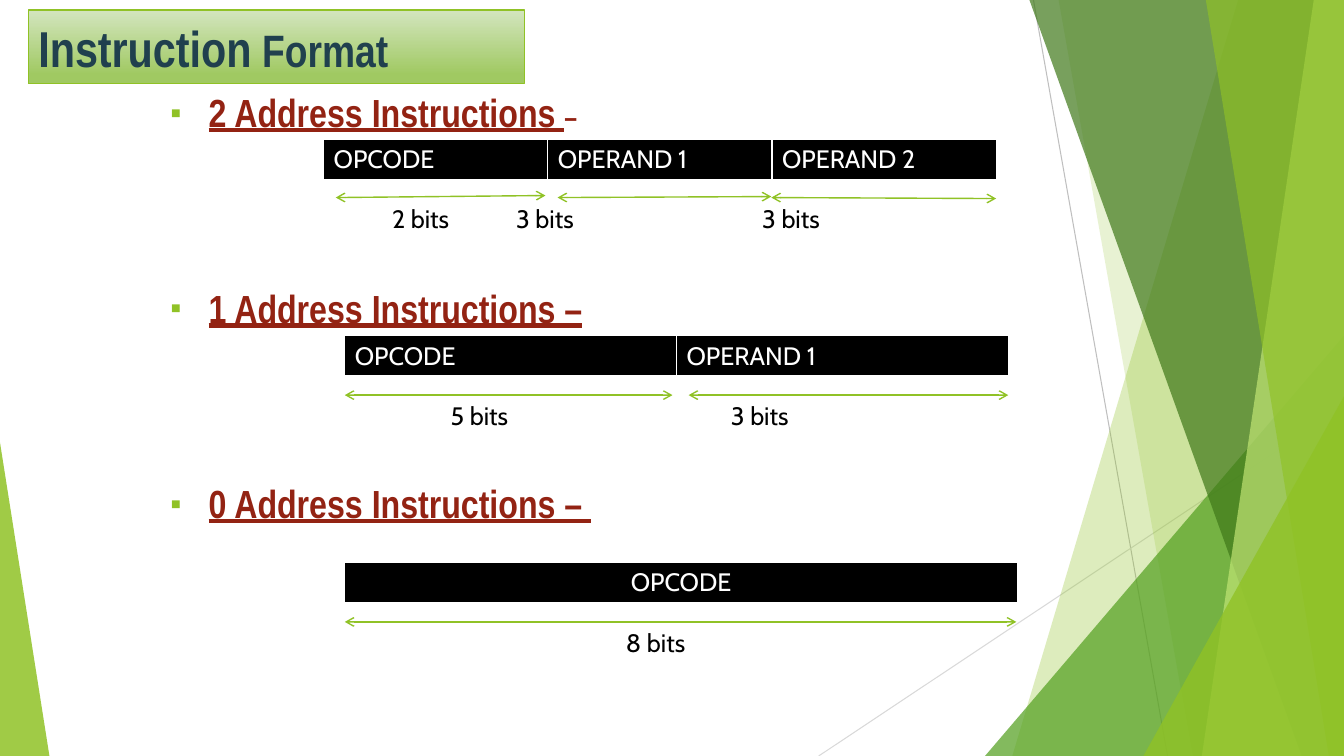
from lxml import etree
from pptx import Presentation
from pptx.dml.color import RGBColor
from pptx.enum.shapes import MSO_CONNECTOR, MSO_SHAPE
from pptx.enum.text import MSO_ANCHOR, MSO_AUTO_SIZE, PP_ALIGN
from pptx.oxml.ns import qn
from pptx.util import Inches, Pt

STRAIGHT = MSO_CONNECTOR.STRAIGHT
TRIANGLE = MSO_SHAPE.ISOSCELES_TRIANGLE
MIDDLE, TOP = MSO_ANCHOR.MIDDLE, MSO_ANCHOR.TOP
LEFT, CENTER = PP_ALIGN.LEFT, PP_ALIGN.CENTER
NO_FIT = MSO_AUTO_SIZE.NONE

WIDTH, HEIGHT = 13.33, 7.5
GREEN, WHITE, BLACK = "90C226", "FFFFFF", "000000"
TITLE_FORMAT = {"name": "Arial Narrow", "bold": True, "color": "20404E"}
HEADING_FORMAT = {"name": "Arial Narrow", "bold": True, "color": "932313"}
CELL_FORMAT = {"name": "Cabin", "size": Pt(18), "bold": False, "color": WHITE}
BITS_FORMAT = {"name": "Cabin", "size": Pt(18), "color": BLACK}

TITLE_BOX = (0.28, 0.1, 4.92, 0.73)
BODY_BOX = (1.59, 0.83, 9.25, 6.58)
HEADINGS = [
    [("2 Address Instructions ", 28, True), ("–", 20, False)],
    [("1 Address Instructions –", 28, True)],
    [("0 Address Instructions – ", 28, True)],
]
BANDS = [
    ((10.04, 12.28, WIDTH, WIDTH), GREEN, 30),
    ((11.83, 10.5, WIDTH, WIDTH), GREEN, 20),
    ((9.77, 3.33, 3.56, 4.17), "54A021", 72, 1),
    ((12.91, 10.21, WIDTH, WIDTH), "3F7819", 70),
    ((11.92, 13.03, WIDTH, WIDTH), "C0E474", 70),
    ((13.18, 11.96, WIDTH, WIDTH), GREEN, 65),
    ((11.34, 3.93, 1.99, 3.57), GREEN, 80, 1),
    ((0, 4.39, 0.49, 3.11), GREEN, 85, 0),
]
FORMATS = [
    {
        "box": (3.21, 1.38, 6.67, 0.41),
        "fields": ["OPCODE", "OPERAND 1", "OPERAND 2"],
        "align": LEFT,
        "arrows": [(3.33, 1.96, 5.41, 1.94), (5.53, 1.96, 7.65, 1.95), (7.65, 1.96, 9.88, 1.97)],
        "bits_box": (3.46, 1.97, 6.58, 0.4),
        "bits": [("2 bits", 0.33), ("3 bits", 1.56), ("3 bits", 4)],
    },
    {
        "box": (3.42, 3.33, 6.58, 0.41),
        "fields": ["OPCODE", "OPERAND 1"],
        "align": LEFT,
        "arrows": [(3.42, 3.92, 6.67, 3.92), (6.83, 3.92, 10, 3.92)],
        "bits_box": (3.42, 3.92, 6.58, 0.4),
        "bits": [("5 bits", 0.95), ("3 bits", 3.73)],
    },
    {
        "box": (3.42, 5.58, 6.67, 0.41),
        "fields": ["OPCODE"],
        "align": CENTER,
        "arrows": [(3.42, 6.17, 10.08, 6.17)],
        "bits_box": (6, 6.17, 2.58, 0.4),
        "bits": [("8 bits", 0.11)],
    },
]


def rgb(color):
    """Turn a hex string into a colour."""
    return RGBColor.from_string(color)


def add_child(parent, tag, **attributes):
    """Append a drawing element with the given attributes."""
    child = etree.SubElement(parent, qn(tag))
    for name, value in attributes.items():
        child.set(name, str(value))
    return child


def set_font(font, values):
    """Apply a dict of format values to a font."""
    for name, value in values.items():
        if name == "color":
            font.color.rgb = rgb(value)
        else:
            setattr(font, name, value)


def move(shape, box):
    """Place a shape in a box given in inches."""
    for name, value in zip(("left", "top", "width", "height"), box):
        setattr(shape, name, Inches(value))


def add_line(slide, ends, color, weight):
    """Draw a straight line without shadow."""
    line = slide.shapes.add_connector(STRAIGHT, *map(Inches, ends))
    line.line.color.rgb = rgb(color)
    line.line.width = Pt(weight)
    add_child(line.element.spPr, "a:effectLst")
    return line


def add_arrow(slide, ends):
    """Draw a green line with an arrowhead at both ends."""
    outline = add_line(slide, ends, GREEN, 1).element.spPr.find(qn("a:ln"))
    for tag in ("a:headEnd", "a:tailEnd"):
        add_child(outline, tag, type="arrow")


def add_band(slide, box, color, opacity, apex=None):
    """Draw a translucent band, or a triangle when an apex is given."""
    if apex is None:
        bottom_left, top_left, top_right, bottom_right = map(Inches, box)
        bottom = Inches(HEIGHT)
        builder = slide.shapes.build_freeform(top_left, 0)
        builder.add_line_segments([(top_right, 0), (bottom_right, bottom), (bottom_left, bottom)])
        band = builder.convert_to_shape()
    else:
        band = slide.shapes.add_shape(TRIANGLE, *map(Inches, box))
        band.adjustments[0] = apex
    band.shadow.inherit = False
    band.line.fill.background()
    band.fill.solid()
    band.fill.fore_color.rgb = rgb(color)
    tint = band.element.spPr.find(qn("a:solidFill"))[0]
    add_child(tint, "a:alpha", val=opacity * 1000)


def add_scenery(slide):
    """Draw the thin lines and green bands at the slide edges."""
    add_line(slide, (10.25, 0, 11.58, HEIGHT), "BFBFBF", 0.75)
    add_line(slide, (WIDTH, 4.03, 8.12, HEIGHT), "D9D9D9", 0.75)
    for band in BANDS:
        add_band(slide, *band)


def fill_title(title, box):
    """Format the title on its gradient panel."""
    move(title, box)
    title.fill.gradient()
    title.fill.gradient_angle = 270
    for stop, position, color in zip(title.fill.gradient_stops, (0, 0.88), ("D3E5BE", "A0C962")):
        stop.position = position
        stop.color.rgb = rgb(color)
    title.line.color.rgb = rgb(GREEN)
    title.line.width = Pt(1)
    frame = title.text_frame
    frame.auto_size, frame.vertical_anchor = NO_FIT, MIDDLE
    para = frame.paragraphs[0]
    para.alignment = LEFT
    for text, size in (("Instruction", 36), (" Format", 32.4)):
        span = para.add_run()
        span.text = text
        set_font(span.font, {**TITLE_FORMAT, "size": Pt(size)})


def fill_body(body, box):
    """Write the bulleted headings, evenly spaced down the box."""
    move(body, box)
    frame = body.text_frame
    frame.auto_size, frame.vertical_anchor = NO_FIT, TOP
    for index, heading in enumerate(HEADINGS):
        para = frame.add_paragraph() if index else frame.paragraphs[0]
        properties = para._p.get_or_add_pPr()
        properties.set("marL", str(Inches(0.38)))
        properties.set("indent", str(-Inches(0.38)))
        add_child(add_child(properties, "a:buClr"), "a:srgbClr", val=GREEN)
        add_child(properties, "a:buSzPct", val=80000)
        add_child(properties, "a:buFont", typeface="Arial")
        add_child(properties, "a:buChar", char="▪")
        para.alignment = LEFT
        para.space_before = Pt(106 if index else 0)
        for text, size, underline in heading:
            span = para.add_run()
            span.text = text
            set_font(span.font, {**HEADING_FORMAT, "size": Pt(size), "underline": underline})


def add_fields(slide, box, fields, align):
    """Add a one-row table of equally wide instruction fields."""
    table = slide.shapes.add_table(1, len(fields), *map(Inches, box)).table
    table.first_row = table.horz_banding = False
    for column, cell, field in zip(table.columns, table.rows[0].cells, fields):
        column.width = Inches(box[2] / len(fields))
        properties = cell._tc.get_or_add_tcPr()
        for tag, weight in (("a:lnL", 1), ("a:lnR", 1), ("a:lnT", 1), ("a:lnB", 3)):
            border = add_child(properties, tag, w=Pt(weight))
            add_child(add_child(border, "a:solidFill"), "a:srgbClr", val=WHITE)
        cell.fill.solid()
        cell.fill.fore_color.rgb = rgb(BLACK)
        para = cell.text_frame.paragraphs[0]
        para.alignment = align
        span = para.add_run()
        span.text = field
        set_font(span.font, CELL_FORMAT)


def add_bits(slide, box, bits):
    """Add the field lengths on one line, set out with tab stops."""
    frame = slide.shapes.add_textbox(*map(Inches, box)).text_frame
    frame.word_wrap = True
    para = frame.paragraphs[0]
    stops = add_child(para._p.get_or_add_pPr(), "a:tabLst")
    for text, offset in bits:
        add_child(stops, "a:tab", pos=Inches(offset), algn="l")
    span = para.add_run()
    span.text = "".join(f"\t{text}" for text, offset in bits)
    set_font(span.font, BITS_FORMAT)


def build_slide(deck):
    """Build the instruction format slide."""
    slide = deck.slides.add_slide(deck.slide_layouts[1])
    title, body = slide.placeholders
    add_scenery(slide)
    for holder, fill, box in ((title, fill_title, TITLE_BOX), (body, fill_body, BODY_BOX)):
        fill(holder, box)
        slide.shapes.element.append(holder.element)
    for layout in FORMATS:
        add_fields(slide, layout["box"], layout["fields"], layout["align"])
        for ends in layout["arrows"]:
            add_arrow(slide, ends)
        add_bits(slide, layout["bits_box"], layout["bits"])


def main():
    """Create the deck and save it."""
    deck = Presentation()
    deck.slide_width, deck.slide_height = Inches(WIDTH), Inches(HEIGHT)
    build_slide(deck)
    deck.save("out.pptx")


if __name__ == "__main__":
    main()
